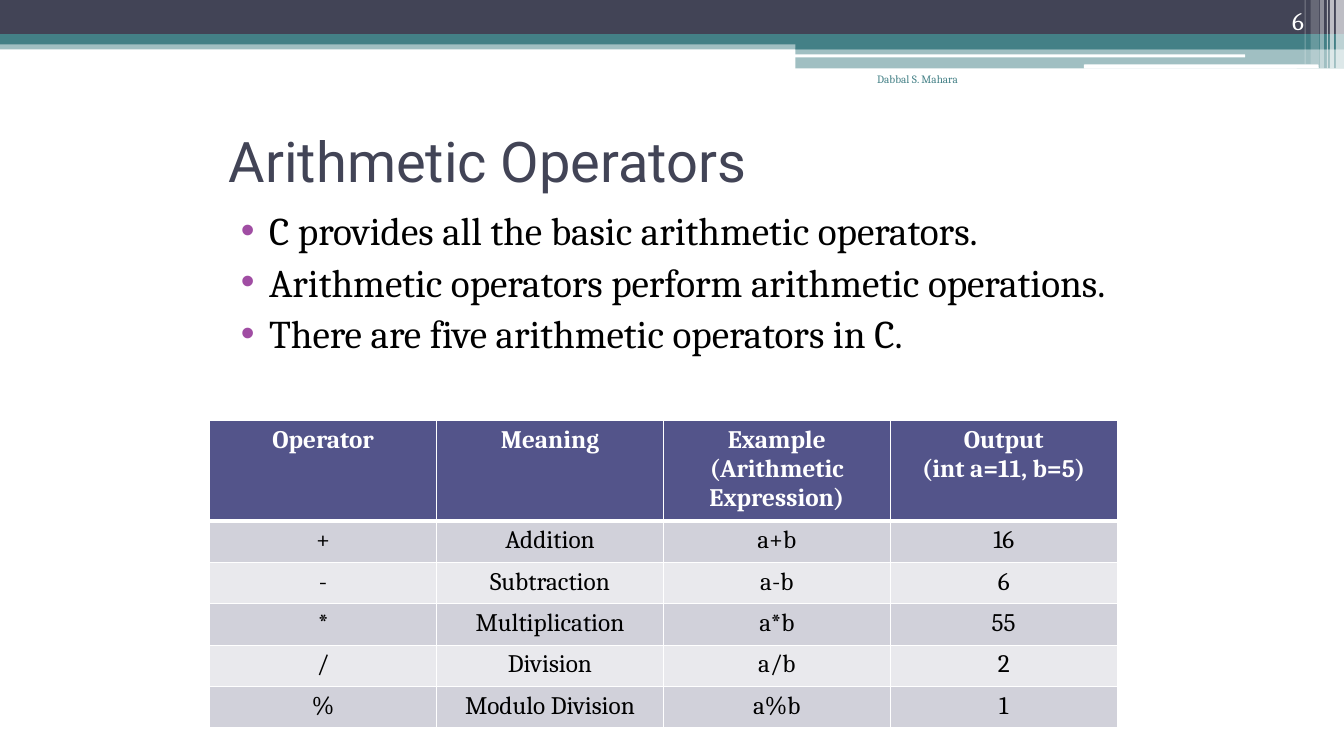
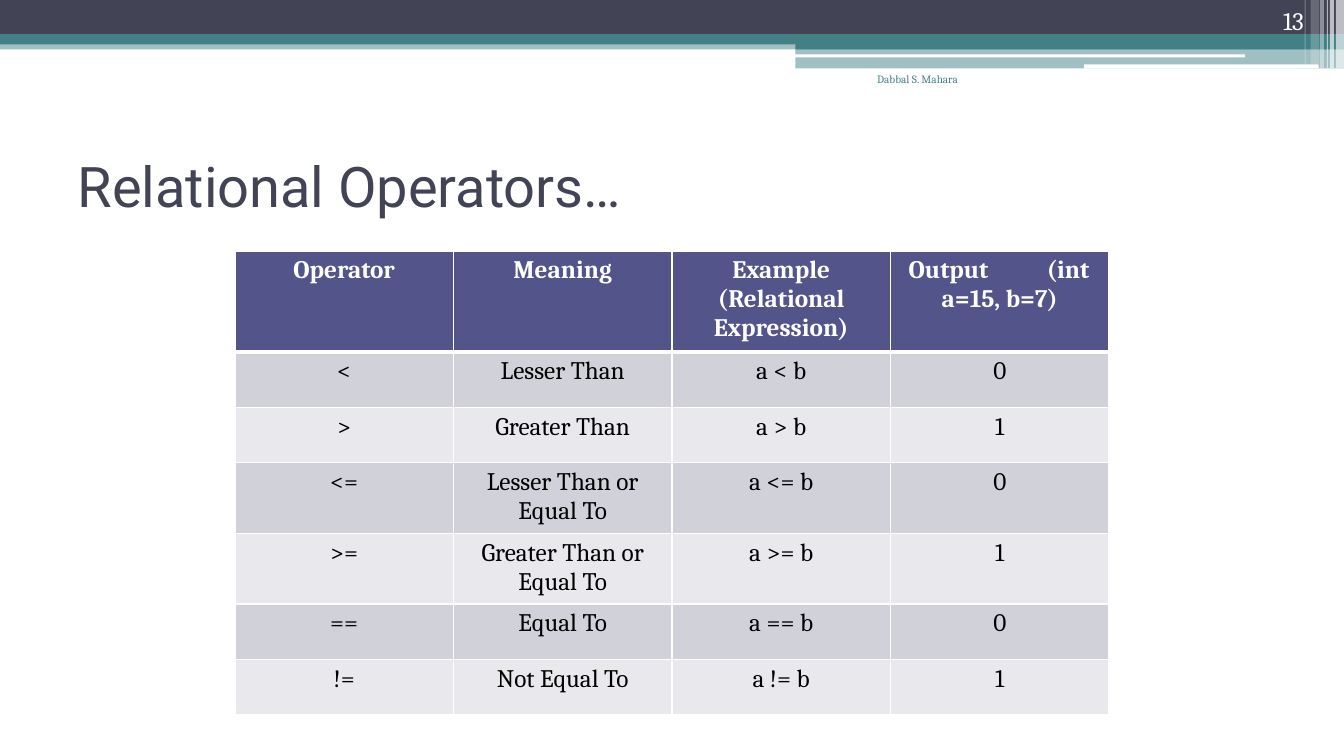
from lxml.etree import SubElement
from pptx import Presentation
from pptx.dml.color import RGBColor
from pptx.enum.shapes import MSO_SHAPE as Shape
from pptx.enum.text import MSO_ANCHOR as Anchor, MSO_AUTO_SIZE as AutoSize, PP_ALIGN as Align
from pptx.oxml.ns import qn
from pptx.util import Inches, Pt

COLORS = {
    "ink": "424456", "teal": "438086", "white": "FFFFFF", "black": "000000",
    "bullet": "A04DA3", "header": "53548A", "odd": "D1D1DA", "even": "E9E9ED",
}

# left, top, width, height, colour, opacity in percent
BANDS = [
    (0, 0.4, 13.33, 0.09, "teal", 50),
    (0, 0, 13.33, 0.34, "ink", 100),
    (0, 0.34, 13.33, 0.1, "teal", 100),
    (7.89, 0.39, 5.44, 0.1, "teal", 100),
    (7.89, 0.48, 5.44, 0.2, "teal", 50),
]
ROUNDED_LINES = [
    (7.88, 0.54, 4.47, 0.03, "white", 100),
    (10.75, 0.64, 2.33, 0.04, "white", 100),
]
CORNER_STRIPES = [
    (left, 0, width, height, "white", opacity)
    for left, width, height, opacity in [
        (13.25, 0.08, 0.68, 65), (13.19, 0.04, 0.68, 65), (13.16, 0.01, 0.68, 60),
        (13.09, 0.04, 0.68, 40), (13, 0.08, 0.64, 20), (12.94, 0.01, 0.64, 30),
    ]
]


def rgb(name):
    return RGBColor.from_string(COLORS[name])


class Deck:
    """Shared style and the slide being built."""

    title_font, text_font = "Roboto", "Cambria"

    def __init__(self):
        self.prs = Presentation()
        self.prs.slide_width, self.prs.slide_height = Inches(13.33), Inches(7.5)
        self.slide = None

    def new_slide(self, title, number, left, top, width):
        self.slide = self.prs.slides.add_slide(self.prs.slide_layouts[5])
        for band in BANDS:
            self.band(Shape.RECTANGLE, *band)
        for line in ROUNDED_LINES:
            self.band(Shape.ROUNDED_RECTANGLE, *line)
        for stripe in CORNER_STRIPES:
            self.band(Shape.RECTANGLE, *stripe)
        self.title(title, left, top, width)
        self.text([str(number)], 11.92, 0, 1.11, 0.4, 18, "white", Align.RIGHT, Anchor.BOTTOM)
        self.text(["Dabbal S. Mahara"], 7.67, 0.67, 1.93, 0.5, 8, "teal", Align.RIGHT)

    def band(self, kind, left, top, width, height, color, opacity):
        band = self.slide.shapes.add_shape(
            kind, Inches(left), Inches(top), Inches(width), Inches(height))
        band.shadow.inherit = False
        band.line.fill.background()
        band.fill.solid()
        band.fill.fore_color.rgb = rgb(color)
        if opacity < 100:
            solid = band.element.spPr.find(qn("a:solidFill"))
            SubElement(solid[0], qn("a:alpha"), val=str(opacity * 1000))

    def style(self, paragraph, size, color, align, font=None, bold=False):
        paragraph.alignment = align
        paragraph.font.name = font or self.text_font
        paragraph.font.size = Pt(size)
        paragraph.font.bold = bold
        paragraph.font.color.rgb = rgb(color)

    def title(self, words, left, top, width):
        title = self.slide.shapes.title
        title.left, title.top = Inches(left), Inches(top)
        title.width, title.height = Inches(width), Inches(1.17)
        frame = title.text_frame
        frame.text = words
        frame.auto_size = AutoSize.NONE
        frame.vertical_anchor = Anchor.MIDDLE
        self.style(frame.paragraphs[0], 40, "ink", Align.LEFT, self.title_font)

    def text(self, lines, left, top, width, height, size, color, align, anchor=Anchor.TOP):
        frame = self.slide.shapes.add_textbox(
            Inches(left), Inches(top), Inches(width), Inches(height)).text_frame
        frame.word_wrap = True
        frame.vertical_anchor = anchor
        frame.text = "\n".join(lines)
        for paragraph in frame.paragraphs:
            self.style(paragraph, size, color, align)
        return frame.paragraphs

    def bullets(self, lines, left, top, width, height):
        for paragraph in self.text(lines, left, top, width, height, 28, "black", Align.JUSTIFY):
            paragraph.space_before = Pt(3)
            props = paragraph._p.get_or_add_pPr()
            props.set("marL", str(Inches(0.4)))
            props.set("indent", str(Inches(-0.28)))
            # Bullet elements come before the default run properties
            marks = [SubElement(props, qn("a:buClr")),
                     SubElement(props, qn("a:buFont"), typeface="Arial"),
                     SubElement(props, qn("a:buChar"), char="•")]
            SubElement(marks[0], qn("a:srgbClr"), val=COLORS["bullet"])
            defaults = props.find(qn("a:defRPr"))
            if defaults is not None:
                props.append(defaults)

    def borders(self, cell, top, bottom):
        props = cell._tc.get_or_add_tcPr()
        for side, points in (("L", 1), ("R", 1), ("T", top), ("B", bottom)):
            line = SubElement(props, qn(f"a:ln{side}"), w=str(Pt(points)))
            solid = SubElement(line, qn("a:solidFill"))
            SubElement(solid, qn("a:srgbClr"), val=COLORS["white"])

    def table(self, rows, left, top, width, heights):
        table = self.slide.shapes.add_table(
            len(rows), len(rows[0]), Inches(left), Inches(top),
            Inches(width), Inches(sum(heights))).table
        for column in table.columns:
            column.width = Inches(width / len(rows[0]))
        for r, (words, height) in enumerate(zip(rows, heights)):
            table.rows[r].height = Inches(height)
            header = r == 0
            fill = "header" if header else "odd" if r % 2 else "even"
            for c, word in enumerate(words):
                cell = table.cell(r, c)
                self.borders(cell, 3 if r == 1 else 1, 3 if header else 1)
                cell.fill.solid()
                cell.fill.fore_color.rgb = rgb(fill)
                cell.text = word
                for paragraph in cell.text_frame.paragraphs:
                    self.style(paragraph, 18, "white" if header else "black",
                               Align.CENTER, bold=header)
        return table

    def spread_line(self, cell, margin, stop):
        """Set the first line of a cell apart at a tab stop."""
        cell.margin_left = cell.margin_right = Inches(margin)
        first = cell.text_frame.paragraphs[0]
        first.alignment = Align.LEFT
        props = first._p.get_or_add_pPr()
        tabs = SubElement(props, qn("a:tabLst"))
        SubElement(tabs, qn("a:tab"), pos=str(Inches(stop)), algn="l")
        defaults = props.find(qn("a:defRPr"))
        if defaults is not None:
            props.append(defaults)


def main():
    deck = Deck()

    # Arithmetic operators
    deck.new_slide("Arithmetic Operators", 6, 2.17, 1, 9)
    deck.bullets([
        "C provides all the basic arithmetic operators.",
        "Arithmetic operators perform arithmetic operations.",
        "There are five arithmetic operators in C.",
    ], 2.17, 2, 9, 4.73)
    deck.table([
        ("Operator", "Meaning", "Example (Arithmetic Expression)", "Output\n(int a=11, b=5)"),
        ("+", "Addition", "a+b", "16"),
        ("-", "Subtraction", "a-b", "6"),
        ("*", "Multiplication", "a*b", "55"),
        ("/", "Division", "a/b", "2"),
        ("%", "Modulo Division", "a%b", "1"),
    ], 2.08, 4.17, 9, [0.96] + [0.41] * 5)

    # Relational operators
    deck.new_slide("Relational Operators…", 13, 0.67, 1.25, 12)
    relational = deck.table([
        ("Operator", "Meaning", "Example (Relational Expression)", "Output\t(int\na=15, b=7)"),
        ("<", "Lesser Than", "a < b", "0"),
        (">", "Greater Than", "a > b", "1"),
        ("<=", "Lesser Than or Equal To", "a <= b", "0"),
        (">=", "Greater Than or Equal To", "a >= b", "1"),
        ("==", "Equal To", "a == b", "0"),
        ("!=", "Not Equal To", "a != b", "1"),
    ], 2.33, 2.49, 8.67, [0.96, 0.55, 0.55, 0.68, 0.68, 0.55, 0.55])
    deck.spread_line(relational.cell(0, 3), 0.18, 1.37)

    deck.prs.save("out.pptx")


if __name__ == "__main__":
    main()
